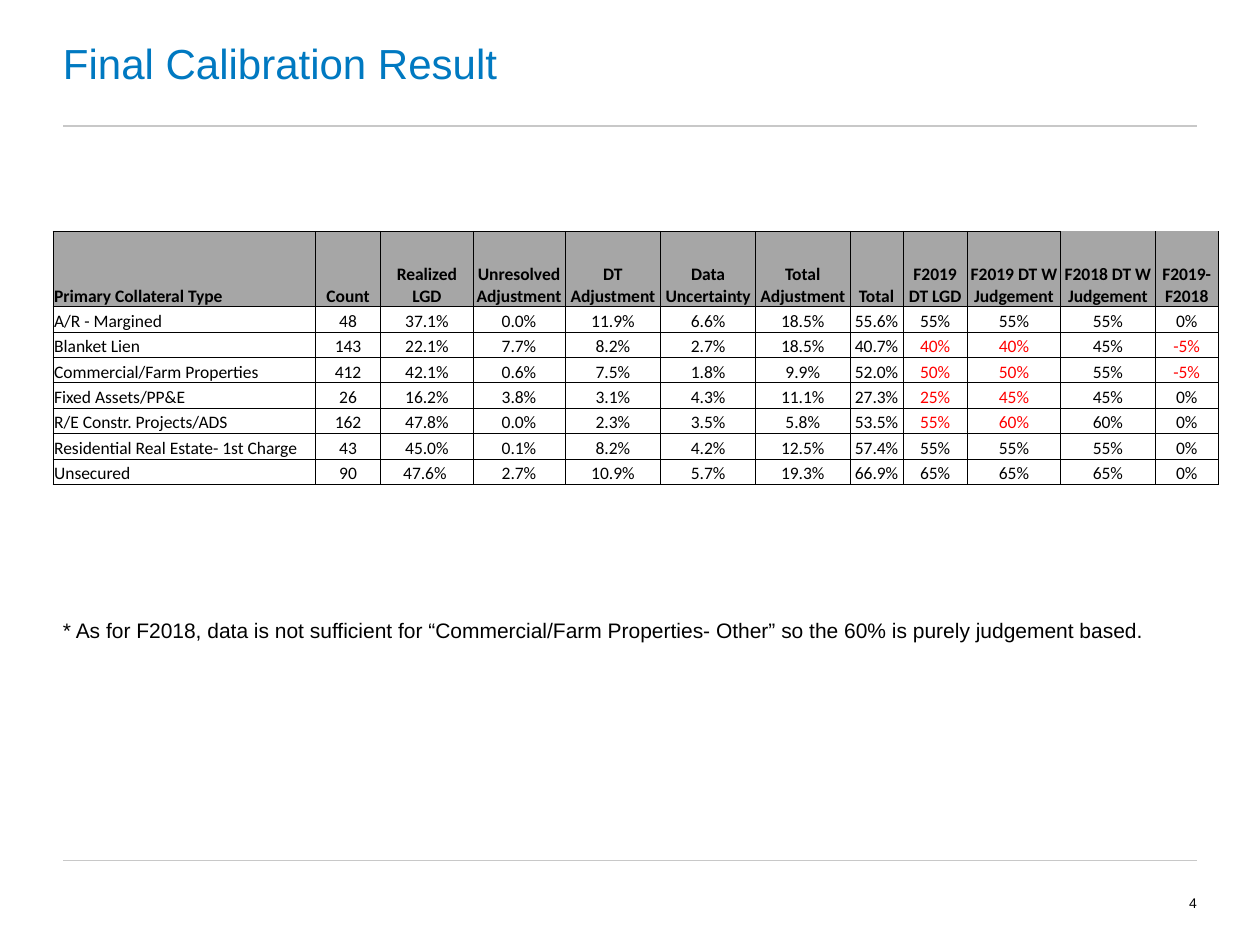
import dataclasses

import pptx
import pptx.dml.color
import pptx.enum.shapes
import pptx.enum.text
import pptx.oxml.xmlchemy
import pptx.util
from lxml import etree

ALIGN = pptx.enum.text.PP_ALIGN
ANCHOR = pptx.enum.text.MSO_ANCHOR
DRAWING = "{http://schemas.openxmlformats.org/drawingml/2006/main}"


@dataclasses.dataclass(frozen=True)
class Theme:
    text_font: str = "Arial"
    table_font: str = "Calibri"
    title_size: int = 24
    note_size: int = 12
    table_size: int = 10
    number_size: int = 8
    title: str = "0079C1"
    text: str = "000000"
    changed: str = "FF0000"
    header: str = "A6A6A6"
    rule: str = "C8C8C8"
    rule_width: float = 0.75
    border_width: float = 0.5


THEME = Theme()

# Page grid: 20 columns by 30 rows on a 10 by 7.5 inch slide
COLUMN, ROW = 10 / 20, 7.5 / 30
LEFT, WIDTH = 1, 18
TOP_RULE, BOTTOM_RULE, PAGE_END = 4, 27.32, 30

HEADINGS = [
    "Primary Collateral Type", "Count", "Realized LGD", "Unresolved Adjustment",
    "DT Adjustment", "Data Uncertainty", "Total Adjustment", "Total",
    "F2019 DT LGD", "F2019 DT W Judgement", "F2018 DT W Judgement", "F2019-F2018",
]
RESULTS = [
    ["A/R - Margined", "48", "37.1%", "0.0%", "11.9%", "6.6%", "18.5%", "55.6%",
     "55%", "55%", "55%", "0%"],
    ["Blanket Lien", "143", "22.1%", "7.7%", "8.2%", "2.7%", "18.5%", "40.7%",
     "40%", "40%", "45%", "-5%"],
    ["Commercial/Farm Properties", "412", "42.1%", "0.6%", "7.5%", "1.8%", "9.9%", "52.0%",
     "50%", "50%", "55%", "-5%"],
    ["Fixed Assets/PP&E", "26", "16.2%", "3.8%", "3.1%", "4.3%", "11.1%", "27.3%",
     "25%", "45%", "45%", "0%"],
    ["R/E Constr. Projects/ADS", "162", "47.8%", "0.0%", "2.3%", "3.5%", "5.8%", "53.5%",
     "55%", "60%", "60%", "0%"],
    ["Residential Real Estate- 1st Charge", "43", "45.0%", "0.1%", "8.2%", "4.2%", "12.5%",
     "57.4%", "55%", "55%", "55%", "0%"],
    ["Unsecured", "90", "47.6% ", "2.7%", "10.9%", "5.7%", "19.3%", "66.9%",
     "65%", "65%", "65%", "0%"],
]
COLUMN_WEIGHTS = [2.08, 0.52, 0.73, 0.73, 0.76, 0.75, 0.75, 0.42, 0.51, 0.74, 0.75, 0.5]
DT_LGD, JUDGED_2019, JUDGED_2018, CHANGE = range(8, 12)


def across(columns):
    return pptx.util.Inches(columns * COLUMN)


def down(rows):
    return pptx.util.Inches(rows * ROW)


def rgb(value):
    return pptx.dml.color.RGBColor.from_string(value)


def write(para, text, font, size, color, align=ALIGN.LEFT, bold=False):
    para.text = text
    para.alignment = align
    para.font.name = font
    para.font.size = pptx.util.Pt(size)
    para.font.bold = bold
    para.font.color.rgb = rgb(color)


def add_text(page, text, left, top, width, height, size, color, align=ALIGN.LEFT):
    box = page.shapes.add_textbox(across(left), down(top), across(width), down(height))
    frame = box.text_frame
    frame.word_wrap = True
    frame.vertical_anchor = ANCHOR.MIDDLE
    frame.margin_left = frame.margin_right = frame.margin_top = frame.margin_bottom = 0
    write(frame.paragraphs[0], text, THEME.text_font, size, color, align)


def add_rule(page, row):
    line = page.shapes.add_connector(
        pptx.enum.shapes.MSO_CONNECTOR.STRAIGHT,
        across(LEFT), down(row), across(LEFT + WIDTH), down(row))
    line.line.color.rgb = rgb(THEME.rule)
    line.line.width = pptx.util.Pt(THEME.rule_width)
    etree.SubElement(line._element.spPr, DRAWING + "effectLst")


def add_borders(cell, open_top):
    properties = cell._tc.get_or_add_tcPr()
    for side in "LRTB":
        border = etree.SubElement(properties, DRAWING + "ln" + side,
                                  w=str(pptx.util.Pt(THEME.border_width)))
        if side == "T" and open_top:
            etree.SubElement(border, DRAWING + "noFill")
        else:
            fill = etree.SubElement(border, DRAWING + "solidFill")
            etree.SubElement(fill, DRAWING + "srgbClr", val=THEME.text)


def is_changed(record, column):
    """Mark a changed F2019 estimate and any year-on-year difference."""
    if column in (DT_LGD, JUDGED_2019):
        return record[DT_LGD] != record[JUDGED_2018]
    return column == CHANGE and record[CHANGE] != "0%"


def fill_cell(cell, record, column, heading):
    cell.margin_left = cell.margin_right = cell.margin_top = pptx.util.Inches(0.01)
    cell.margin_bottom = 0
    cell.vertical_anchor = ANCHOR.BOTTOM
    add_borders(cell, heading and column >= JUDGED_2018)
    if heading:
        cell.fill.solid()
        cell.fill.fore_color.rgb = rgb(THEME.header)
    else:
        cell.fill.background()
    red = not heading and is_changed(record, column)
    write(cell.text_frame.paragraphs[0], record[column], THEME.table_font, THEME.table_size,
          THEME.changed if red else THEME.text,
          ALIGN.CENTER if column else ALIGN.LEFT, heading)


def add_results(page, left, top, width, height, header_height):
    records = [HEADINGS] + RESULTS
    table = page.shapes.add_table(len(records), len(HEADINGS), across(left), down(top),
                                  across(width), down(height)).table
    table.horz_banding = False
    for column, weight in zip(table.columns, COLUMN_WEIGHTS):
        column.width = across(width * weight / sum(COLUMN_WEIGHTS))
    for number, record in enumerate(records):
        share = (height - header_height) / len(RESULTS) if number else header_height
        table.rows[number].height = down(share)
        for column in range(len(HEADINGS)):
            fill_cell(table.cell(number, column), record, column, number == 0)


def main():
    deck = pptx.Presentation()
    deck.slide_width, deck.slide_height = across(20), down(PAGE_END)
    page = deck.slides.add_slide(deck.slide_layouts[6])

    # Frame and title
    add_rule(page, BOTTOM_RULE)
    add_rule(page, TOP_RULE)
    add_text(page, "Final Calibration Result", LEFT, 0, WIDTH, TOP_RULE,
             THEME.title_size, THEME.title)

    # Calibration table and its note
    add_results(page, left=0.84, top=7.34, width=18.5, height=8.04, header_height=2.4)
    add_text(page, "* As for F2018, data is not sufficient for “Commercial/Farm Properties- "
             "Other” so the 60% is purely judgement based.",
             LEFT, 19.5, WIDTH, 1, THEME.note_size, THEME.text)

    # Page number
    add_text(page, "4", 18, BOTTOM_RULE, 1, PAGE_END - BOTTOM_RULE,
             THEME.number_size, THEME.text, ALIGN.RIGHT)
    deck.save("out.pptx")


if __name__ == "__main__":
    main()
